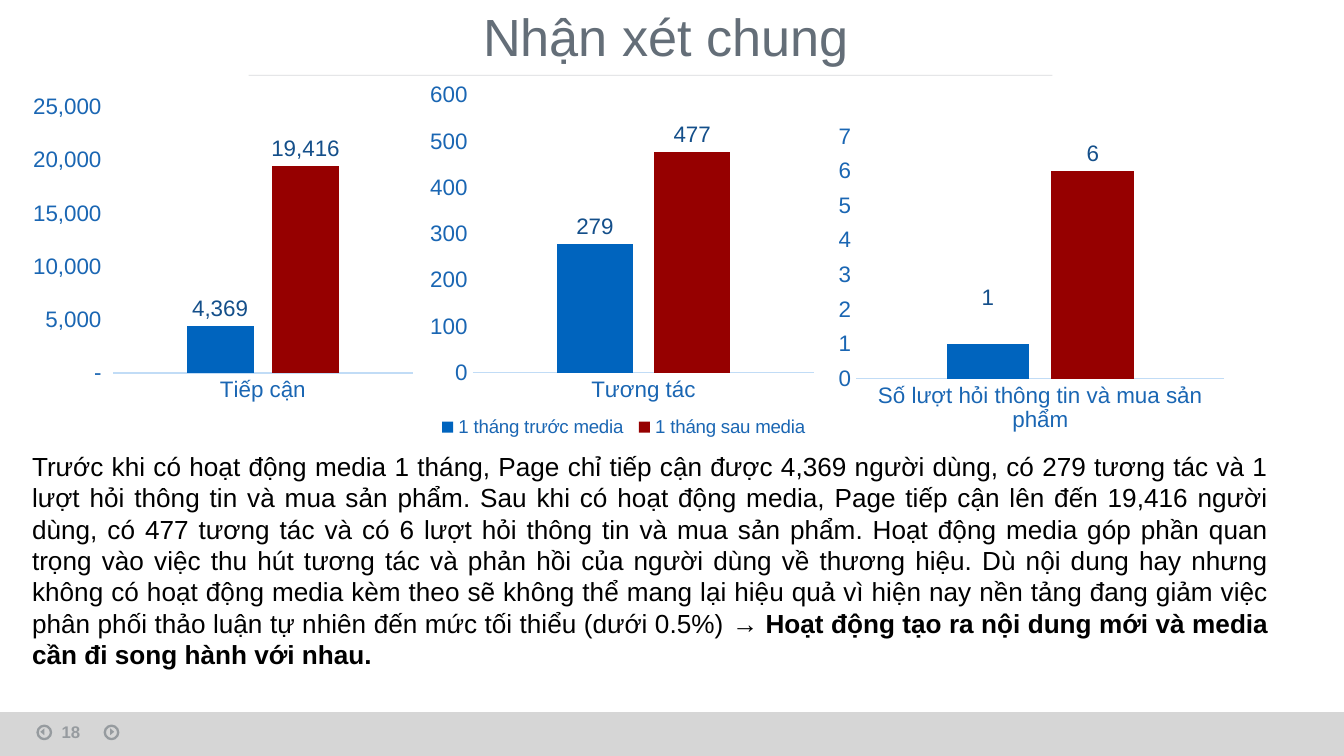
from lxml.etree import SubElement
from pptx import Presentation
from pptx.chart.data import CategoryChartData
from pptx.dml.color import RGBColor
from pptx.enum.chart import XL_CHART_TYPE, XL_LABEL_POSITION, XL_LEGEND_POSITION, XL_TICK_MARK
from pptx.enum.shapes import MSO_CONNECTOR, MSO_SHAPE
from pptx.enum.text import MSO_ANCHOR, PP_ALIGN
from pptx.oxml import parse_xml
from pptx.oxml.ns import nsdecls, qn
from pptx.util import Inches, Pt

COLORS = {
    "ink": "051423", "title": "646E78", "footer": "D2D2D2", "body": "000000",
    "before": "0064BE", "after": "960000",
    "axis_text": "1A66B3", "axis_line": "C1DCF6", "value_text": "144F8A",
}
FONT = "Arial"
ACCOUNTING = '_(* #,##0_);_(* \\(#,##0\\);_(* "-"_);_(@_)'
LEGEND_NAMES = ("1 tháng trước media", "1 tháng sau media")
PLAIN_NAMES = ("Series 1", "Series 2")
# Box, category, values, axis maximum and step, number format, series names, legend
CHARTS = [
    ((0.14, 0.66, 2.99, 2.38), "Tiếp cận", (4369, 19416),
     25000, 5000, ACCOUNTING, PLAIN_NAMES, False),
    ((6.18, 0.88, 2.99, 2.38), "Số lượt hỏi thông tin và mua sản phẩm", (1, 6),
     7, 1, "General", PLAIN_NAMES, False),
    ((3.13, 0.57, 2.99, 2.79), "Tương tác", (279, 477),
     600, 100, "General", LEGEND_NAMES, True),
]
COMMENT = (
    "Trước khi có hoạt động media 1 tháng, Page chỉ tiếp cận được 4,369 người dùng, "
    "có 279 tương tác và 1 lượt hỏi thông tin và mua sản phẩm. Sau khi có hoạt động media, "
    "Page tiếp cận lên đến 19,416 người dùng, có 477 tương tác và có 6 lượt hỏi thông tin "
    "và mua sản phẩm. Hoạt động media góp phần quan trọng vào việc thu hút tương tác và "
    "phản hồi của người dùng về thương hiệu. Dù nội dung hay nhưng không có hoạt động media "
    "kèm theo sẽ không thể mang lại hiệu quả vì hiện nay nền tảng đang giảm việc phân phối "
    "thảo luận tự nhiên đến mức tối thiểu (dưới 0.5%) "
)
CONCLUSION = "→ Hoạt động tạo ra nội dung mới và media cần đi song hành với nhau."


def inches(box):
    return [Inches(length) for length in box]


def paint(fill, color, opacity=100):
    fill.solid()
    fill.fore_color.rgb = RGBColor.from_string(COLORS[color])
    if opacity < 100:
        rgb = fill._xPr.find(".//" + qn("a:srgbClr"))
        SubElement(rgb, qn("a:alpha"), val=str(opacity * 1000))


def style_font(font, color, size, opacity=100, **extra):
    for name, value in {"name": FONT, "size": Pt(size), **extra}.items():
        setattr(font, name, value)
    paint(font.fill, color, opacity)


def add_text(slide, box, runs, align=PP_ALIGN.LEFT, anchor=MSO_ANCHOR.TOP):
    """Add one paragraph; runs are pairs of text and font format."""
    frame = slide.shapes.add_textbox(*inches(box)).text_frame
    frame.word_wrap = True
    frame.vertical_anchor = anchor
    paragraph = frame.paragraphs[0]
    paragraph.alignment = align
    for text, font_format in runs:
        run = paragraph.add_run()
        run.text = text
        style_font(run.font, **font_format)


def add_preset(slide, kind, box, rotation=0):
    shape = slide.shapes.add_shape(kind, *inches(box))
    shape.shadow.inherit = False
    shape.rotation = rotation
    shape.line.fill.background()
    return shape


def add_page_button(slide, left, top, rotation, nudge):
    """Draw a ring with a triangle pointing along the rotation."""
    ring = add_preset(slide, MSO_SHAPE.OVAL, (left, top, 0.1, 0.1))
    ring.fill.background()
    ring.line.width = Pt(1.25)
    paint(ring.line.fill, "ink", 30)
    arrow = add_preset(slide, MSO_SHAPE.ISOSCELES_TRIANGLE,
                       (left + nudge, top + 0.03, 0.05, 0.03), rotation)
    paint(arrow.fill, "ink", 30)


def add_footer(slide, left, top, width, height):
    band = add_preset(slide, MSO_SHAPE.RECTANGLE, (left, top, width, height))
    paint(band.fill, "footer", 90)
    add_page_button(slide, left + 0.78, top + 0.1, 90, 0.03)
    add_page_button(slide, left + 0.28, top + 0.1, 270, 0.01)
    page_format = {"color": "ink", "size": 9, "opacity": 30, "bold": True}
    add_text(slide, (left + 0.36, top + 0.02, 0.42, 0.21), [("18", page_format)])


def add_title(slide, left, top, width, height):
    add_text(slide, (left, top, width, height),
             [("Nhận xét chung", {"color": "title", "size": 28})],
             PP_ALIGN.CENTER, MSO_ANCHOR.MIDDLE)
    rule_y = top + height + 0.01
    rule = slide.shapes.add_connector(
        MSO_CONNECTOR.STRAIGHT, *inches((left - 0.39, rule_y, left + width + 0.16, rule_y)))
    rule.line.width = Pt(0.5)
    paint(rule.line.fill, "title", 25)
    SubElement(rule._element.spPr, qn("a:effectLst"))


def make_layout(**settings):
    """Build a manual chart layout from its settings, in schema order."""
    parts = "".join(f'<c:{name} val="{value}"/>' for name, value in settings.items())
    return parse_xml(f'<c:layout {nsdecls("c")}><c:manualLayout>{parts}'
                     '</c:manualLayout></c:layout>')


def replace_layout(parent, index, layout):
    for old in parent.findall(qn("c:layout")):
        parent.remove(old)
    parent.insert(index, layout)


def style_axes(chart, maximum, step, number_format):
    for axis in (chart.category_axis, chart.value_axis):
        axis.has_major_gridlines = False
        axis.major_tick_mark = axis.minor_tick_mark = XL_TICK_MARK.NONE
        style_font(axis.tick_labels.font, "axis_text", 12)
    baseline = chart.category_axis.format.line
    baseline.width = Pt(0.75)
    paint(baseline.fill, "axis_line")
    values = chart.value_axis
    values.format.line.fill.background()
    for name, value in {"minimum_scale": 0, "maximum_scale": maximum,
                        "major_unit": step}.items():
        setattr(values, name, value)
    values.tick_labels.number_format = number_format
    values.tick_labels.number_format_is_linked = False


def style_series(series, color, number_format):
    paint(series.format.fill, color)
    labels = series.data_labels
    for name, value in {"show_value": True, "position": XL_LABEL_POSITION.OUTSIDE_END,
                        "number_format": number_format,
                        "number_format_is_linked": False}.items():
        setattr(labels, name, value)
    style_font(labels.font, "value_text", 12)
    for leader in series._element.iter(qn("c:showLeaderLines")):
        leader.set("val", "0")


def raise_label(series, share):
    """Lift the first value label by a share of the chart height."""
    label = series.points[0].data_label
    style_font(label.font, "value_text", 12)
    label.position = XL_LABEL_POSITION.OUTSIDE_END
    replace_layout(series._element.find(".//" + qn("c:dLbl")), 1, make_layout(x=0, y=-share))


def add_legend(chart):
    chart.has_legend = True
    legend = chart.legend
    legend.position = XL_LEGEND_POSITION.BOTTOM
    legend.include_in_layout = False
    style_font(legend.font, "axis_text", 10)
    replace_layout(legend._element, 1, make_layout(
        xMode="edge", yMode="edge", x=0.03, y=0.9, w=0.95, h=0.07))
    replace_layout(chart._chartSpace.chart.plotArea, 0, make_layout(
        layoutTarget="inner", xMode="edge", yMode="edge", x=0.13, y=0.05, w=0.85, h=0.74))


def add_comparison(slide, box, category, values, maximum, step, number_format, names, legend):
    data = CategoryChartData()
    data.categories = [category]
    for name, value in zip(names, values):
        data.add_series(name, [value])
    chart = slide.shapes.add_chart(XL_CHART_TYPE.COLUMN_CLUSTERED, *inches(box), data).chart
    style_font(chart.font, "ink", 10)
    chart.has_title = chart.has_legend = False
    if legend:
        add_legend(chart)
    style_axes(chart, maximum, step, number_format)
    plot = chart.plots[0]
    plot.gap_width, plot.overlap, plot.vary_by_categories = 219, -27, False
    for series, color in zip(plot.series, ("before", "after")):
        style_series(series, color, number_format)
    return chart


def main():
    deck = Presentation()
    deck.slide_width = Inches(10)
    deck.slide_height = deck.slide_width * 9 // 16
    slide = deck.slides.add_slide(deck.slide_layouts[6])
    add_footer(slide, 0, 5.3, 10, 0.33)
    add_title(slide, 2.24, -0.02, 5.43, 0.57)
    body = {"color": "body", "size": 14}
    add_text(slide, (0.14, 3.3, 9.4, 1.75),
             [(COMMENT, body), (CONCLUSION, {**body, "bold": True})], PP_ALIGN.JUSTIFY)
    reach, enquiries, engagement = [add_comparison(slide, *row) for row in CHARTS]
    raise_label(enquiries.plots[0].series[0], 0.09)
    deck.save("out.pptx")


if __name__ == "__main__":
    main()
